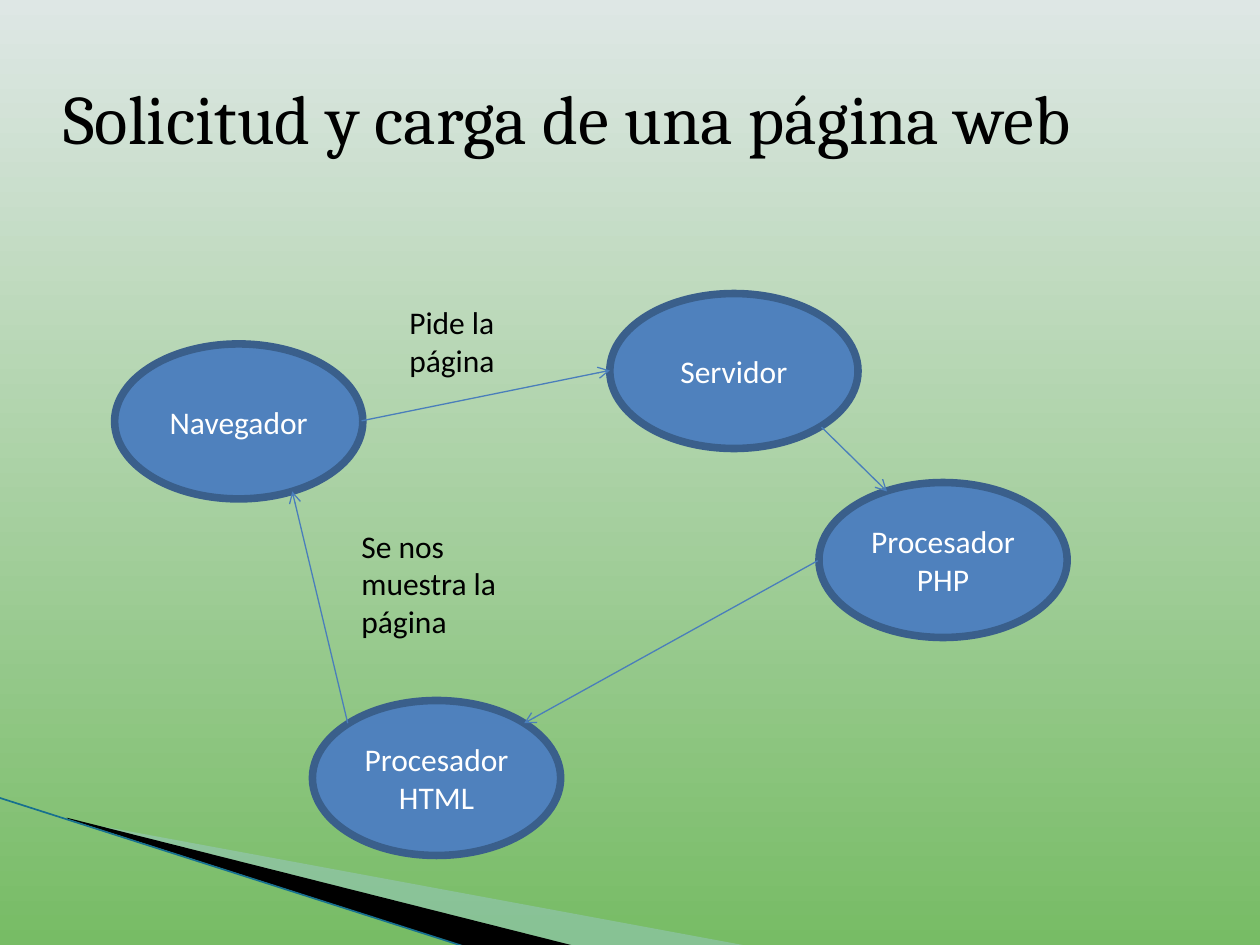
import pptx
import pptx.dml.color
import pptx.enum.shapes
import pptx.enum.text
import pptx.oxml
import pptx.oxml.ns
import pptx.util
from pptx.util import Inches

SHAPE = pptx.enum.shapes.MSO_SHAPE
ALIGN = pptx.enum.text.PP_ALIGN
ANCHOR = pptx.enum.text.MSO_ANCHOR
NODE_W, NODE_H = 1.97, 1.23


def rgb(color):
    """Return the RGBColor for a hex string."""
    return pptx.dml.color.RGBColor.from_string(color)


def add_xml(parent, tag, **attrs):
    """Append an empty DrawingML element with the given attributes."""
    el = pptx.oxml.parse_xml(f"<a:{tag} {pptx.oxml.ns.nsdecls('a')}/>")
    for name, value in attrs.items():
        el.set(name, value)
    parent.append(el)


def write(sp, text, size=18, font="Calibri", color="000000",
          align=ALIGN.LEFT, anchor=ANCHOR.TOP):
    """Write one formatted paragraph into a shape."""
    tf = sp.text_frame
    tf.word_wrap = True
    tf.auto_size = pptx.enum.text.MSO_AUTO_SIZE.NONE
    tf.vertical_anchor = anchor
    p = tf.paragraphs[0]
    p.alignment = align
    r = p.add_run()
    r.text = text
    r.font.size = pptx.util.Pt(size)
    r.font.name = font
    r.font.color.rgb = rgb(color)


def set_background(s, top, bottom):
    """Fill the slide with a gradient running from top to bottom."""
    fill = s.background.fill
    fill.gradient()
    fill.gradient_angle = 270
    for stop, color, position in zip(fill.gradient_stops, (top, bottom), (0, 1)):
        stop.color.rgb = rgb(color)
        stop.position = position


def add_title(s, text):
    """Place and fill the title placeholder."""
    sp = s.shapes.title
    sp.left, sp.top, sp.width, sp.height = map(Inches, (0, 0.3, 9, 1.25))
    write(sp, text, size=39.6, font="Cambria", align=ALIGN.CENTER,
          anchor=ANCHOR.MIDDLE)


def add_wedge(s, points, color, opacity=100):
    """Draw a filled polygon without outline."""
    start, *rest = [tuple(map(Inches, point)) for point in points]
    builder = s.shapes.build_freeform(*start, scale=1.0)
    builder.add_line_segments(rest, close=True)
    sp = builder.convert_to_shape()
    sp.shadow.inherit = False
    sp.fill.solid()
    sp.fill.fore_color.rgb = rgb(color)
    sp.line.fill.background()
    if opacity < 100:
        clr = sp.fill._xPr.find(".//" + pptx.oxml.ns.qn("a:srgbClr"))
        add_xml(clr, "alpha", val=str(opacity * 1000))


def add_line(s, begin, end, color, width=0.75, arrow=False):
    """Draw a straight line, with an open arrowhead at its end if asked."""
    sp = s.shapes.add_connector(pptx.enum.shapes.MSO_CONNECTOR.STRAIGHT,
                                *map(Inches, begin + end))
    sp.line.color.rgb = rgb(color)
    sp.line.width = pptx.util.Pt(width)
    if arrow:
        add_xml(sp.line._get_or_add_ln(), "tailEnd", type="arrow")
    add_xml(sp._element.spPr, "effectLst")


def add_node(s, text, left, top):
    """Draw one step of the process as an ellipse."""
    sp = s.shapes.add_shape(SHAPE.OVAL,
                            *map(Inches, (left, top, NODE_W, NODE_H)))
    sp.shadow.inherit = False
    sp.fill.solid()
    sp.fill.fore_color.rgb = rgb("4F81BD")
    sp.line.color.rgb = rgb("3A5F8B")
    sp.line.width = pptx.util.Pt(4.33)
    write(sp, text, color="FFFFFF", align=ALIGN.CENTER, anchor=ANCHOR.MIDDLE)


def add_label(s, text, *box):
    """Add a text box beside an arrow."""
    write(s.shapes.add_textbox(*map(Inches, box)), text)


def main():
    """Build the slide and save it."""
    prs = pptx.Presentation()
    prs.slide_width, prs.slide_height = Inches(10), Inches(7.5)
    s = prs.slides.add_slide(prs.slide_layouts[5])
    set_background(s, "DEE7E5", "77BC65")
    add_wedge(s, [(0.55, 6.51), (5.95, 7.51), (4.56, 7.51), (0.55, 6.5)],
              "A0CBDC", opacity=40)
    add_wedge(s, [(0.53, 6.49), (4.57, 7.51), (3.72, 7.52), (0.54, 6.5)],
              "000000")
    add_line(s, (-0.01, 6.33), (3.71, 7.52), "17708F", width=0.95)
    add_title(s, "Solicitud y carga de una página web")

    for text, left, top in [("Navegador", 0.91, 2.73),
                            ("Servidor", 4.84, 2.33),
                            ("Procesador PHP", 6.5, 3.83),
                            ("Procesador HTML", 2.48, 5.56)]:
        add_node(s, text, left, top)

    for begin, end in [((2.87, 3.34), (4.84, 2.94)),
                       ((6.52, 3.39), (7.04, 3.9)),
                       ((6.49, 4.45), (4.16, 5.74)),
                       ((2.76, 5.74), (2.32, 3.9))]:
        add_line(s, begin, end, "4A7EBB", arrow=True)

    add_label(s, "Pide la página", 3.15, 2.36, 1.57, 0.7)
    add_label(s, "Se nos muestra la página", 2.77, 4.13, 1.36, 0.85)
    prs.save("out.pptx")


if __name__ == "__main__":
    main()
